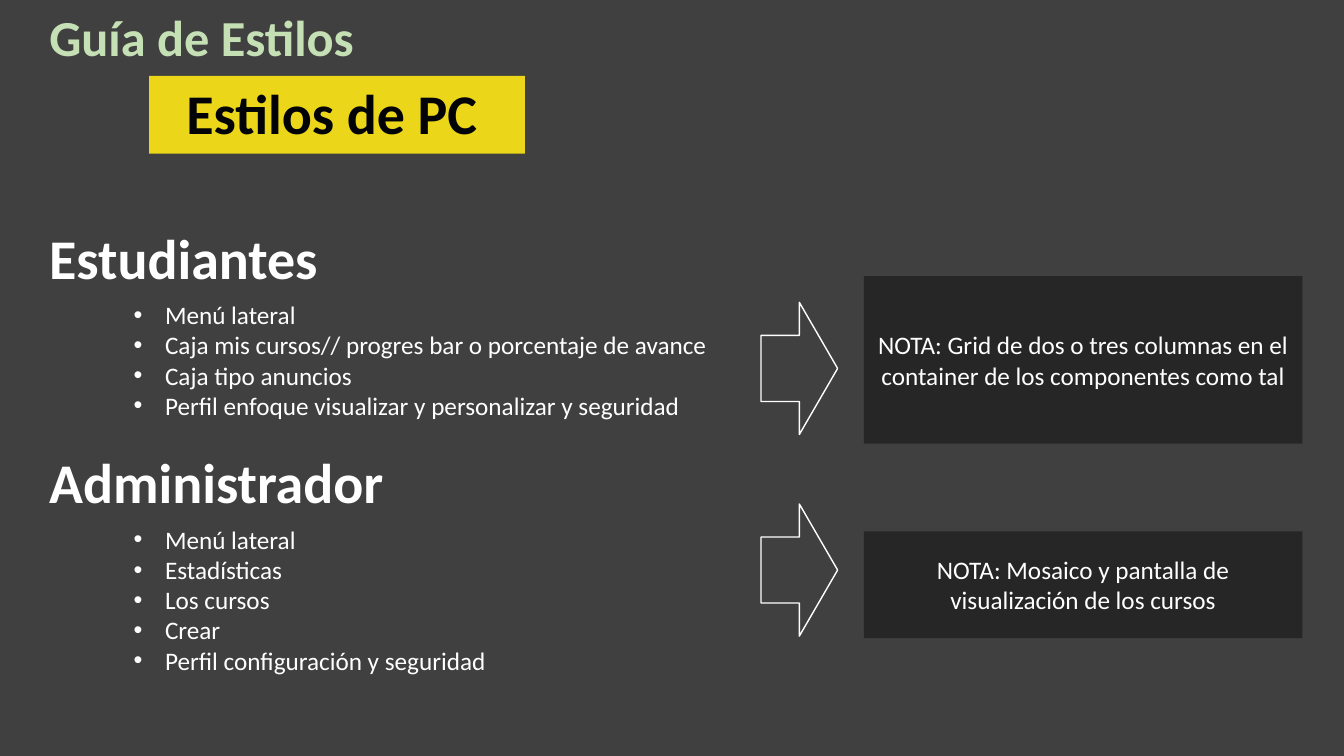
import pptx
import pptx.dml.color
import pptx.enum.shapes
import pptx.enum.text
import pptx.oxml.xmlchemy
import pptx.util
from dataclasses import dataclass
from lxml import etree
from pptx.util import Cm

SHAPES = pptx.enum.shapes.MSO_SHAPE
ALIGN = pptx.enum.text.PP_ALIGN
ANCHOR = pptx.enum.text.MSO_ANCHOR
AUTOFIT = pptx.enum.text.MSO_AUTO_SIZE


@dataclass(frozen=True)
class Theme:
    font: str = "Calibri"
    background: str = "404040"
    title: str = "C5E0B4"
    badge: str = "EBD619"
    badge_text: str = "020306"
    text: str = "FFFFFF"
    note: str = "262626"
    title_size: int = 36
    heading_size: int = 40
    body_size: int = 18


THEME = Theme()

# Each section: heading top, list top and height, arrow top, note top and height (cm)
SECTIONS = [
    {
        "heading": "Estudiantes",
        "heading_top": 5.51,
        "items": [
            "Menú lateral",
            "Caja mis cursos// progres bar o porcentaje de avance",
            "Caja tipo anuncios",
            "Perfil enfoque visualizar y personalizar y seguridad",
        ],
        "list_box": (7.42, 3.33),
        "arrow_top": 7.62,
        "note": "NOTA: Grid de dos o tres columnas en el container de los componentes como tal",
        "note_box": (6.96, 4.22),
    },
    {
        "heading": "Administrador",
        "heading_top": 11.15,
        "items": [
            "Menú lateral",
            "Estadísticas",
            "Los cursos",
            "Crear",
            "Perfil configuración y seguridad",
        ],
        "list_box": (13.08, 4.11),
        "arrow_top": 12.7,
        "note": "NOTA: Mosaico y pantalla de visualización de los cursos",
        "note_box": (13.39, 2.69),
    },
]


def rgb(color):
    return pptx.dml.color.RGBColor.from_string(color)


def box(left, top, width, height):
    return [Cm(length) for length in (left, top, width, height)]


def write(frame, lines, size, color, bold=False, align=ALIGN.LEFT, anchor=ANCHOR.TOP):
    """Fill a text frame with one paragraph per line."""
    frame_format = {"word_wrap": True, "auto_size": AUTOFIT.NONE, "vertical_anchor": anchor}
    for attribute, value in frame_format.items():
        setattr(frame, attribute, value)
    font_format = {"name": THEME.font, "size": pptx.util.Pt(size), "bold": bold}
    for index, line in enumerate(lines):
        paragraph = frame.add_paragraph() if index else frame.paragraphs[0]
        paragraph.alignment = align
        run = paragraph.add_run()
        run.text = line
        for attribute, value in font_format.items():
            setattr(run.font, attribute, value)
        run.font.color.rgb = rgb(color)


def add_title(slide, text):
    title = slide.shapes.title
    title.left, title.top, title.width, title.height = box(0.99, 0.03, 8.71, 1.8)
    write(title.text_frame, [text], THEME.title_size, THEME.title, bold=True)


def add_heading(slide, text, left, top, color):
    heading = slide.shapes.add_textbox(*box(left, top, 9.86, 1.96))
    write(heading.text_frame, [text], THEME.heading_size, color, bold=True)


def add_bullets(slide, items, top, height):
    bullets = slide.shapes.add_textbox(*box(3.12, top, 16.05, height))
    write(bullets.text_frame, items, THEME.body_size, THEME.text)
    indent = Cm(0.79)
    for paragraph in bullets.text_frame.paragraphs:
        properties = paragraph._p.get_or_add_pPr()
        properties.set("marL", str(indent))
        properties.set("indent", str(-indent))
        for tag, attribute, value in (("buFont", "typeface", "Arial"), ("buChar", "char", "•")):
            etree.SubElement(properties, pptx.oxml.ns.qn(f"a:{tag}")).set(attribute, value)


def add_block(slide, kind, bounds, fill=None, line=None):
    """Add a flat preset shape with an optional fill and outline."""
    block = slide.shapes.add_shape(kind, *box(*bounds))
    block.shadow.inherit = False
    if fill:
        block.fill.solid()
        block.fill.fore_color.rgb = rgb(fill)
    else:
        block.fill.background()
    if line:
        block.line.color.rgb = rgb(line)
        block.line.width = pptx.util.Pt(1)
    else:
        block.line.fill.background()
    return block


def add_section(slide, section):
    add_heading(slide, section["heading"], 0.99, section["heading_top"], THEME.text)
    add_bullets(slide, section["items"], *section["list_box"])
    arrow_bounds = (19.18, section["arrow_top"], 1.93, 3.33)
    add_block(slide, SHAPES.RIGHT_ARROW, arrow_bounds, line=THEME.text)
    note_top, note_height = section["note_box"]
    note = add_block(
        slide, SHAPES.RECTANGLE, (21.77, note_top, 11.05, note_height), fill=THEME.note
    )
    write(note.text_frame, [section["note"]], THEME.body_size, THEME.text,
          align=ALIGN.CENTER, anchor=ANCHOR.MIDDLE)


def main():
    deck = pptx.Presentation()
    deck.slide_width, deck.slide_height = Cm(33.87), Cm(19.05)
    slide = deck.slides.add_slide(deck.slide_layouts.get_by_name("Title Only"))
    slide.background.fill.solid()
    slide.background.fill.fore_color.rgb = rgb(THEME.background)

    # Title and yellow badge
    add_title(slide, "Guía de Estilos")
    add_block(slide, SHAPES.RECTANGLE, (3.76, 1.91, 9.47, 1.96), fill=THEME.badge)
    add_heading(slide, "Estilos de PC", 4.45, 1.85, THEME.badge_text)

    # One section per user role
    for section in SECTIONS:
        add_section(slide, section)

    deck.save("out.pptx")


if __name__ == "__main__":
    main()
